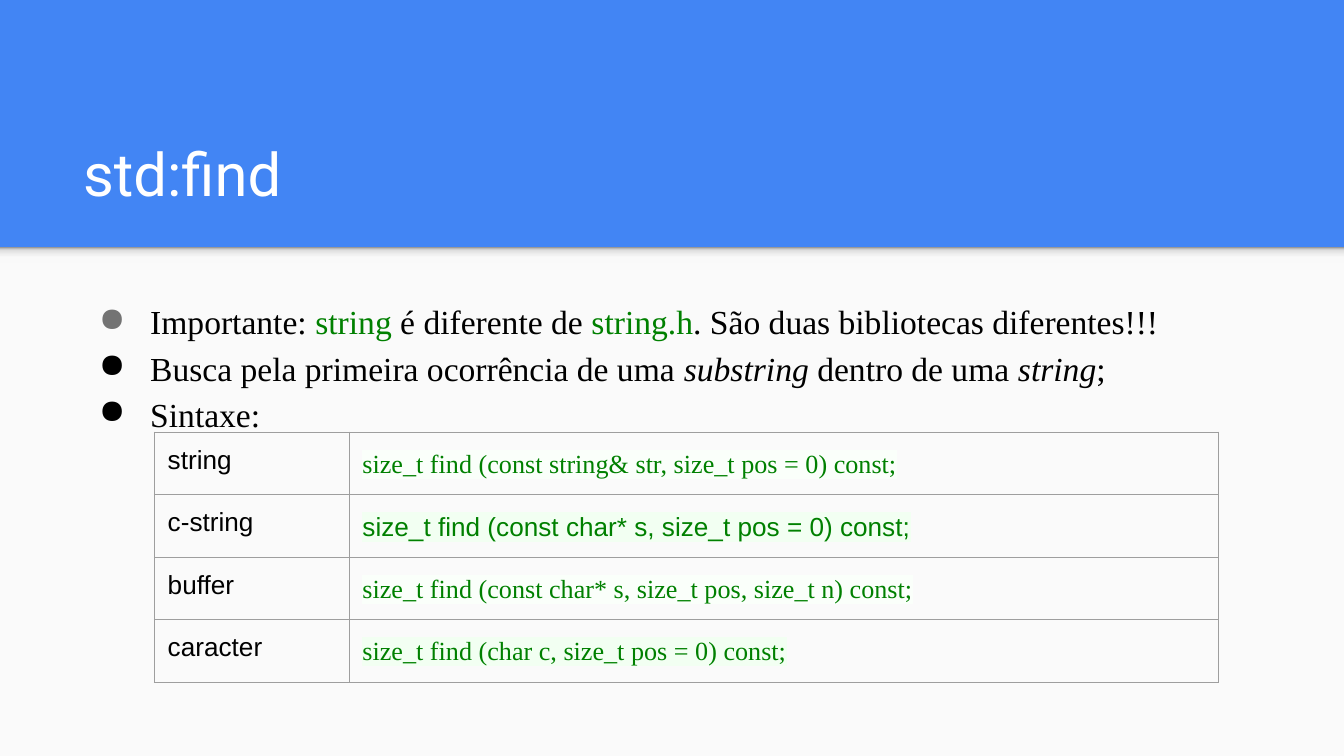
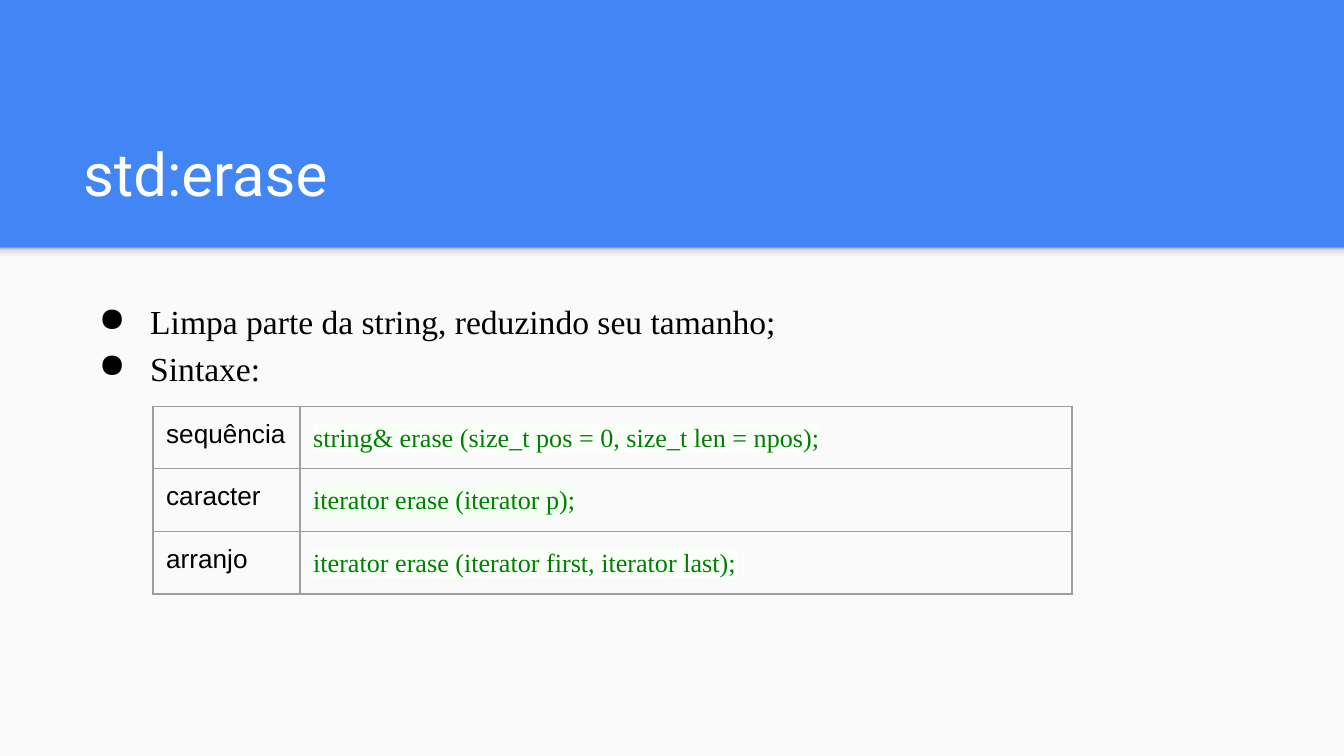
from lxml.etree import SubElement
from pptx import Presentation
from pptx.dml.color import RGBColor
from pptx.enum.shapes import MSO_SHAPE
from pptx.enum.text import MSO_ANCHOR
from pptx.oxml.ns import qn
from pptx.util import Cm, Pt

COLORS = {
    "blue": "4285F4",
    "paper": "FAFAFA",
    "white": "FFFFFF",
    "black": "000000",
    "code": "008000",
    "muted": "737373",
    "border": "9E9E9E",
    "pale": "FAFFFA",
    "mint": "F2FFF2",
}
SHADE = [(0, "F9F9F9"), (36, "F9F9F9"), (80, "DEDEDE"), (100, "999999")]
TITLE_FONT = "Roboto"
SERIF = "Times New Roman"
SANS = "Arial"
WIDTH, HEIGHT = 25.4, 14.29
BAND_BOTTOM = 4.67
TEXT_LEFT, TEXT_WIDTH = 1.32, 22.83
MARGIN = 0.25
ROW_HEIGHT = 1.13
LINE_SPACING = 1.15


def rgb(name):
    return RGBColor.from_string(COLORS[name])


def add_color(parent, value):
    SubElement(parent, qn("a:srgbClr"), val=value)


def format_span(span, font, size, color="black", italic=False):
    span.font.name = font
    span.font.size = Pt(size)
    span.font.color.rgb = rgb(color)
    span.font.italic = italic


def highlight(span, color):
    mark = SubElement(span.font._element, qn("a:highlight"))
    add_color(mark, COLORS[color])
    span.font._element.find(qn("a:solidFill")).addnext(mark)


def set_margins(target):
    target.margin_left = target.margin_right = Cm(MARGIN)
    target.margin_top = target.margin_bottom = Cm(MARGIN)


def add_rectangle(page, top, height):
    box = page.shapes.add_shape(
        MSO_SHAPE.RECTANGLE, Cm(0), Cm(top), Cm(WIDTH), Cm(height))
    box.shadow.inherit = False
    box.line.fill.background()
    return box


def add_text_box(page, top, height):
    box = page.shapes.add_textbox(
        Cm(TEXT_LEFT), Cm(top), Cm(TEXT_WIDTH), Cm(height))
    frame = box.text_frame
    frame.word_wrap = True
    set_margins(frame)
    return frame


def shade(box):
    box.fill.gradient()
    box.fill.gradient_angle = 90
    stops = box._element.spPr.find(".//" + qn("a:gsLst"))
    stops.clear()
    for percent, value in SHADE:
        stop = SubElement(stops, qn("a:gs"), pos=str(percent * 1000))
        add_color(stop, value)


def add_page(deck, title):
    page = deck.slides.add_slide(deck.slide_layouts[6])
    page.background.fill.solid()
    page.background.fill.fore_color.rgb = rgb("blue")
    paper = add_rectangle(page, BAND_BOTTOM, HEIGHT - BAND_BOTTOM)
    paper.fill.solid()
    paper.fill.fore_color.rgb = rgb("paper")
    shade(add_rectangle(page, BAND_BOTTOM, 0.3))
    frame = add_text_box(page, 2.06, 2.13)
    frame.vertical_anchor = MSO_ANCHOR.BOTTOM
    frame.text = title
    format_span(frame.paragraphs[0].runs[0], TITLE_FONT, 32, "white")
    return page


def set_bullet(para, color):
    properties = para._p.get_or_add_pPr()
    properties.set("marL", str(Cm(1.27)))
    properties.set("indent", str(Cm(-0.97)))
    add_color(SubElement(properties, qn("a:buClr")), COLORS[color])
    SubElement(properties, qn("a:buChar"), char="●")


def add_bullets(page, bullets):
    frame = add_text_box(page, 5.33, 8.66)
    for index, (bullet_color, pieces) in enumerate(bullets):
        para = frame.add_paragraph() if index else frame.paragraphs[0]
        para.line_spacing = LINE_SPACING
        set_bullet(para, bullet_color)
        for text, style in pieces:
            span = para.add_run()
            span.text = text
            format_span(span, SERIF, 18, **style)


def set_borders(cell):
    properties = cell._tc.get_or_add_tcPr()
    for index, side in enumerate(("lnL", "lnR", "lnT", "lnB")):
        line = SubElement(properties, qn("a:" + side), w=str(Pt(0.75)))
        add_color(SubElement(line, qn("a:solidFill")), COLORS["border"])
        properties.insert(index, line)


def fill_cell(cell, text, font, color):
    cell.fill.background()
    set_borders(cell)
    set_margins(cell)
    cell.text = text
    para = cell.text_frame.paragraphs[0]
    format_span(para.runs[0], font, 14, color)
    return para


def add_syntax_table(page, left, top, widths, rows):
    table = page.shapes.add_table(
        len(rows), 2, Cm(left), Cm(top),
        Cm(sum(widths)), Cm(ROW_HEIGHT * len(rows))).table
    table.first_row = False
    table.horz_banding = False
    for column, width in zip(table.columns, widths):
        column.width = Cm(width)
    for index, (label, code, font) in enumerate(rows):
        table.rows[index].height = Cm(ROW_HEIGHT)
        fill_cell(table.cell(index, 0), label, SANS, "black")
        para = fill_cell(table.cell(index, 1), code, font, "code")
        para.line_spacing = LINE_SPACING
        highlight(para.runs[0], "mint" if index % 2 else "pale")


def build_find(deck):
    page = add_page(deck, "std:find")
    code, italic = {"color": "code"}, {"italic": True}
    add_bullets(page, [
        ("muted", [
            ("Importante: ", {}), ("string", code),
            (" é diferente de ", {}), ("string.h", code),
            (". São duas bibliotecas diferentes!!!", {})]),
        ("black", [
            ("Busca pela primeira ocorrência de uma ", {}),
            ("substring", italic), (" dentro de uma ", {}),
            ("string", italic), (";", {})]),
        ("black", [("Sintaxe:", {})]),
    ])
    add_syntax_table(page, 2.92, 8.17, (3.68, 16.43), [
        ("string", "size_t find (const string& str, size_t pos = 0) const;", SERIF),
        ("c-string", "size_t find (const char* s, size_t pos = 0) const;", SANS),
        ("buffer", "size_t find (const char* s, size_t pos, size_t n) const;", SERIF),
        ("caracter", "size_t find (char c, size_t pos = 0) const;", SERIF),
    ])


def build_erase(deck):
    page = add_page(deck, "std:erase")
    add_bullets(page, [
        ("black", [("Limpa parte da string, reduzindo seu tamanho;", {})]),
        ("black", [("Sintaxe:", {})]),
    ])
    add_syntax_table(page, 2.89, 7.68, (2.78, 14.59), [
        ("sequência", "string& erase (size_t pos = 0, size_t len = npos);", SERIF),
        ("caracter", "iterator erase (iterator p);", SERIF),
        ("arranjo", "iterator erase (iterator first, iterator last);", SERIF),
    ])


def main():
    deck = Presentation()
    deck.slide_width = Cm(WIDTH)
    deck.slide_height = Cm(HEIGHT)
    build_find(deck)
    build_erase(deck)
    deck.save("out.pptx")


main()
